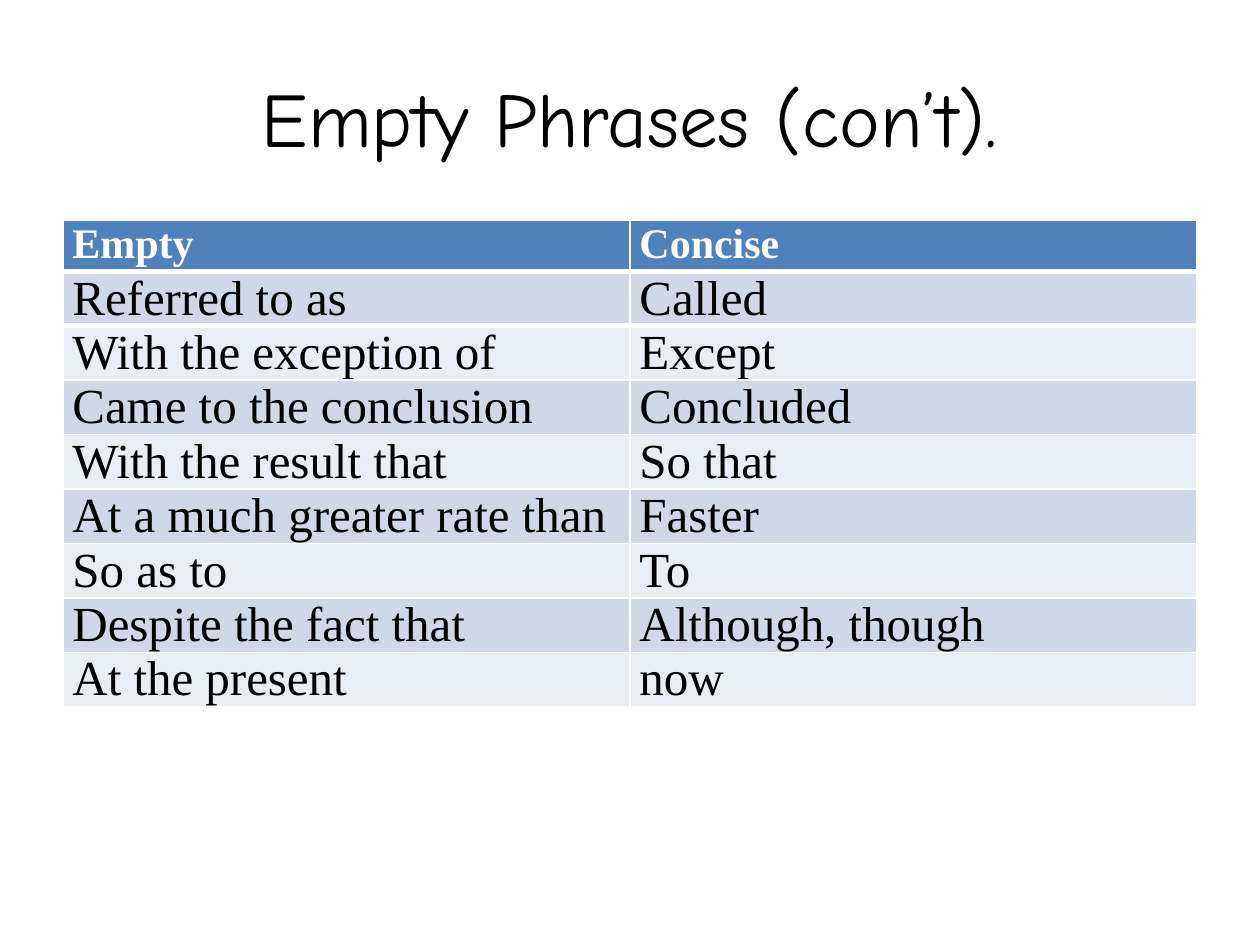
"""Build a slide with a table of empty phrases and their concise forms."""
from lxml.etree import fromstring
from pptx import Presentation
from pptx.dml.color import RGBColor
from pptx.enum.text import MSO_ANCHOR, PP_ALIGN
from pptx.oxml.ns import nsdecls
from pptx.util import Cm, Pt

HUES = {"head": "4F81BD", "odd": "D0D8E8", "even": "E9EDF4",
        "white": "FFFFFF", "black": "000000"}
ROWS = [
    ("Empty", "Concise"),
    ("Referred to as", "Called"),
    ("With the exception of", "Except"),
    ("Came to the conclusion", "Concluded"),
    ("With the result that", "So that"),
    ("At a much greater rate than", "Faster"),
    ("So as to", "To"),
    ("Despite the fact that", "Although, though"),
    ("At the present", "now"),
]


def style(para, face, size, hue, bold=False):
    para.font.name = face
    para.font.size = Pt(size)
    para.font.bold = bold
    para.font.color.rgb = RGBColor.from_string(HUES[hue])


def rule(cell, side):
    line = fromstring(
        f'<a:{side} {nsdecls("a")} w="{Pt(3)}"><a:solidFill>'
        f'<a:srgbClr val="{HUES["white"]}"/></a:solidFill></a:{side}>')
    cell._tc.get_or_add_tcPr().insert(0, line)


deck = Presentation()
deck.slide_width, deck.slide_height = Cm(25.4), Cm(19.05)
slide = deck.slides.add_slide(deck.slide_layouts[6])

title = slide.shapes.add_textbox(Cm(1.27), Cm(0.76), Cm(22.86), Cm(3.18))
frame = title.text_frame
frame.word_wrap = True
frame.vertical_anchor = MSO_ANCHOR.MIDDLE
para = frame.paragraphs[0]
para.text = "Empty Phrases (con\u2019t)."
para.alignment = PP_ALIGN.CENTER
style(para, "Comic Neue", 44, "black")

table = slide.shapes.add_table(len(ROWS), 2, Cm(1.27), Cm(4.45),
                               Cm(22.86), Cm(1.02) * len(ROWS)).table
for r, words in enumerate(ROWS):
    band = "head" if r == 0 else "odd" if r % 2 else "even"
    for c, word in enumerate(words):
        cell = table.cell(r, c)
        cell.margin_left = cell.margin_right = Cm(0.19)
        cell.margin_top = 0
        cell.margin_bottom = Cm(-0.09) if r else 0
        cell.fill.solid()
        cell.fill.fore_color.rgb = RGBColor.from_string(HUES[band])
        cell.text = word
        para = cell.text_frame.paragraphs[0]
        if r == 0:
            style(para, "Times New Roman", 24, "white", True)
        else:
            style(para, "Times New Roman", 28, "black")
        if r < 2:
            rule(cell, "lnT" if r else "lnB")

deck.save("out.pptx")
